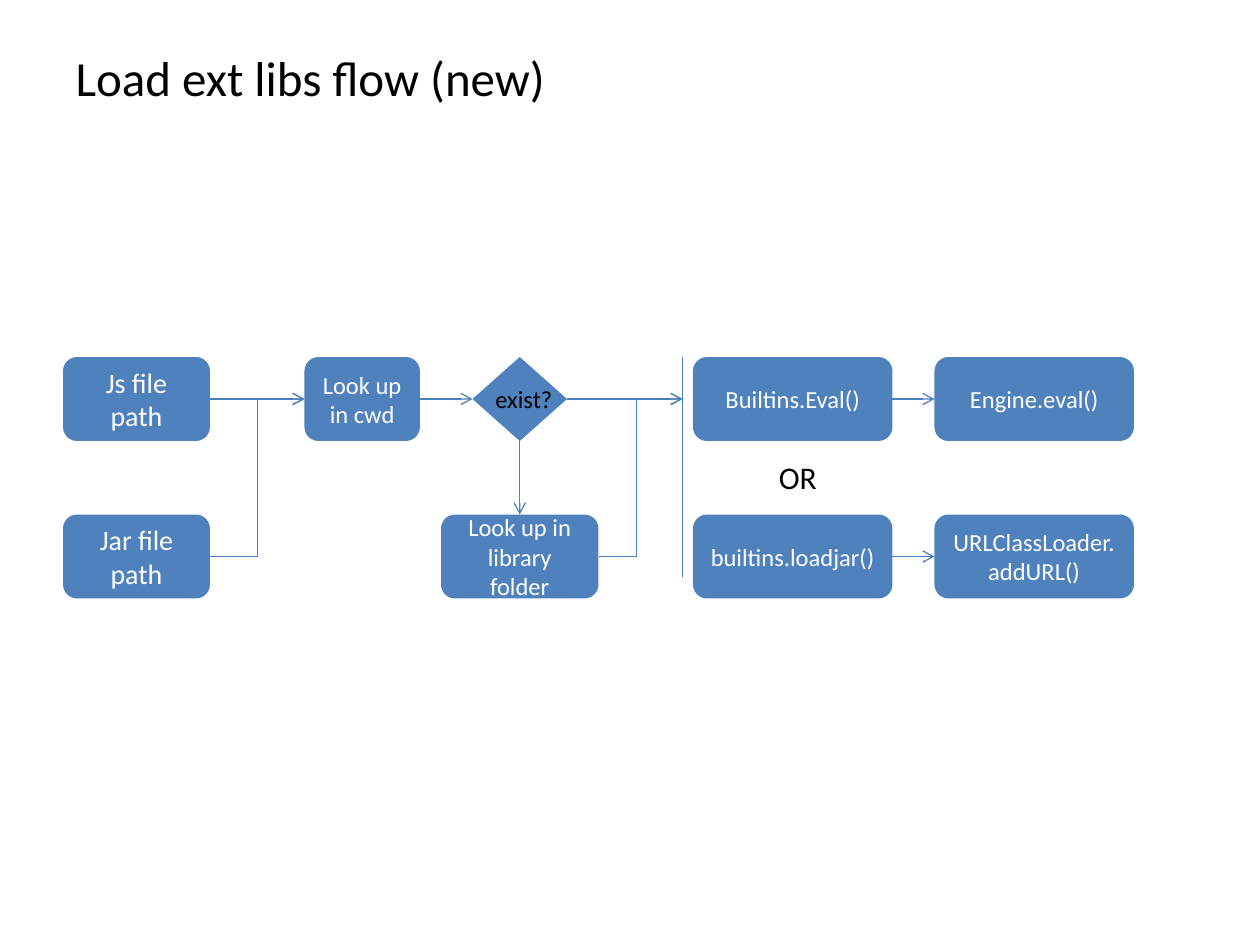
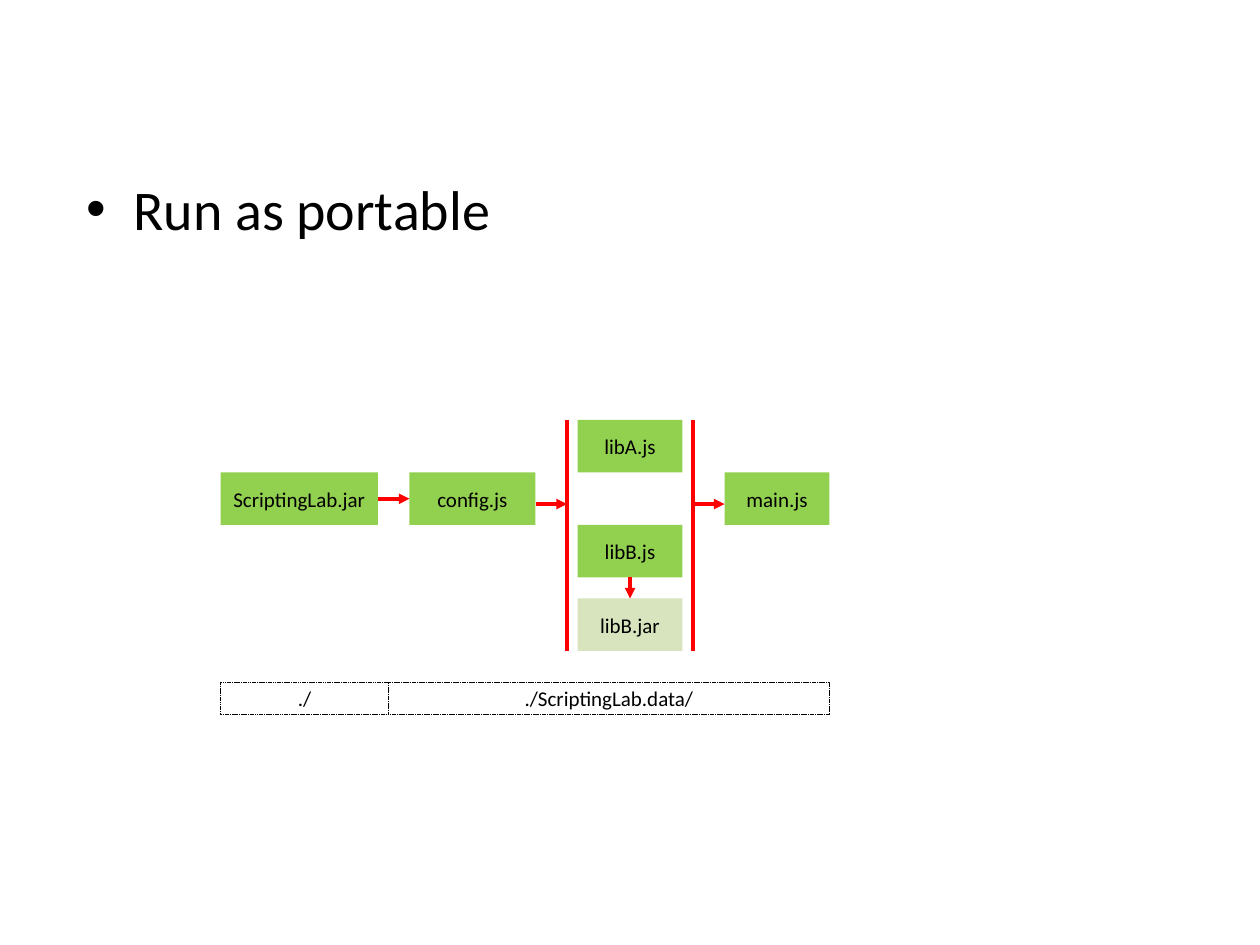
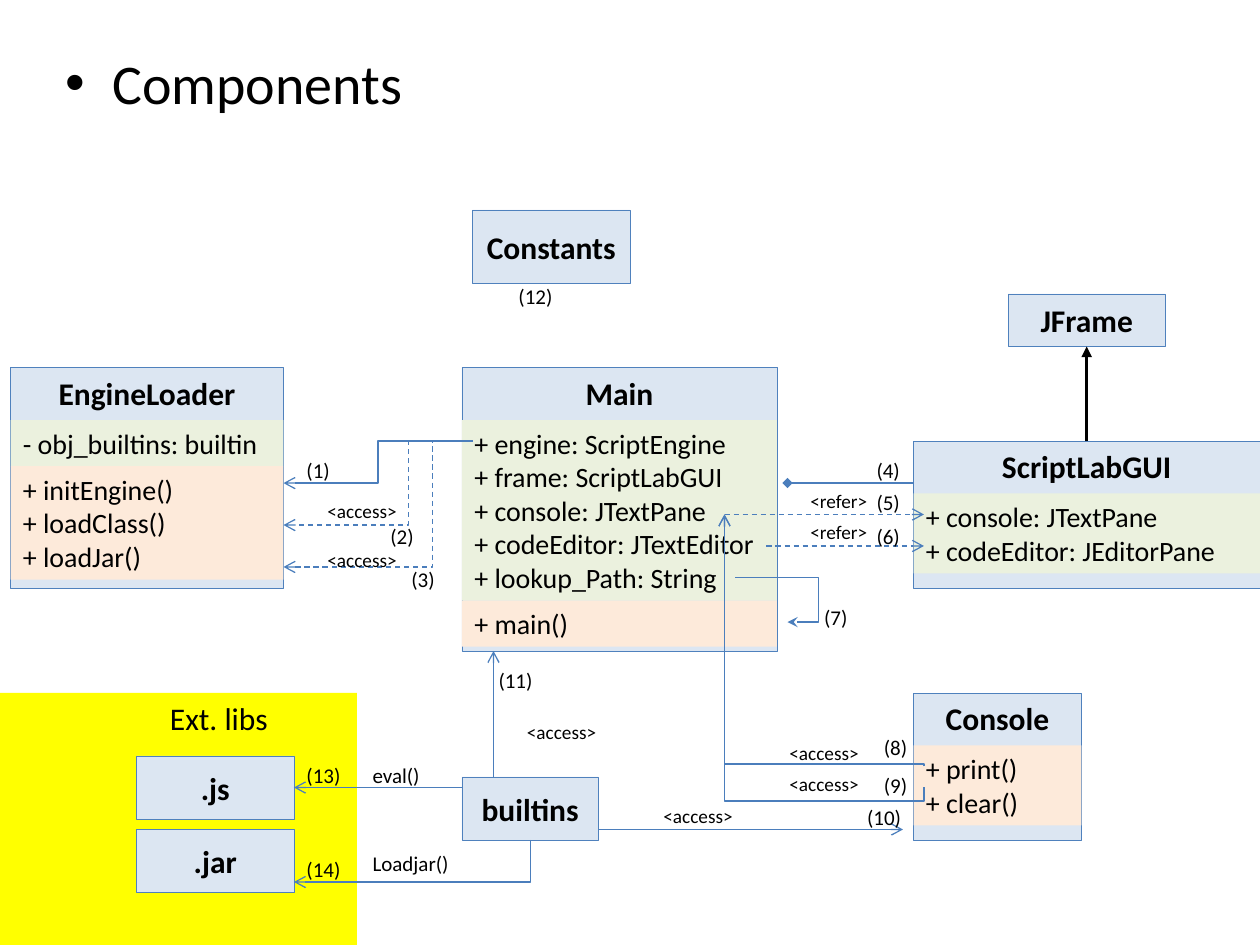
from dataclasses import dataclass

from lxml.etree import SubElement
from pptx import Presentation
from pptx.dml.color import RGBColor
from pptx.enum.dml import MSO_LINE as DASH
from pptx.enum.shapes import MSO_CONNECTOR as CXN, MSO_SHAPE as SHP
from pptx.enum.text import MSO_ANCHOR as ANCHOR, MSO_AUTO_SIZE as FIT, PP_ALIGN as ALIGN
from pptx.oxml.ns import qn
from pptx.util import Inches, Pt


@dataclass(frozen=True)
class Theme:
    """Colours, font and type sizes of the deck."""
    font: str = "Calibri"
    black: str = "000000"
    white: str = "FFFFFF"
    blue: str = "4F81BD"
    wire: str = "4B7EBC"
    header: str = "DCE6F2"
    fields: str = "EBF1DE"
    methods: str = "FDEADA"
    green: str = "92D050"
    pale: str = "D7E4BD"
    red: str = "FF0000"
    yellow: str = "FFFF00"
    title: int = 28
    bullet: int = 32
    head: int = 18
    member: int = 16
    step: int = 14
    small: int = 12
    tiny: int = 11
    thin: float = 0.25
    normal: float = 0.75
    thick: float = 2


T = Theme()
GRID = Inches(1) // 12
TOP, LEFT, BOTTOM, RIGHT = range(4)

FLOW_STEPS = {
    "js": ("Js file path", 6, 34, 14, T.member),
    "jar": ("Jar file path", 6, 49, 14, T.member),
    "cwd": ("Look up in cwd", 29, 34, 11, T.step),
    "library": ("Look up in library folder", 42, 49, 15, T.step),
    "eval": ("Builtins.Eval()", 66, 34, 19, T.step),
    "loadjar": ("builtins.loadjar()", 66, 49, 19, T.step),
    "engine": ("Engine.eval()", 89, 34, 19, T.step),
    "loader": ("URLClassLoader.addURL()", 89, 49, 19, T.step),
}
FLOW_ARROWS = [
    (("exist", BOTTOM), ("library", TOP)),
    (("js", RIGHT), ("cwd", LEFT)),
    (("cwd", RIGHT), ("exist", LEFT)),
    (("exist", RIGHT), (65, 38)),
    (("eval", RIGHT), ("engine", LEFT)),
    (("loadjar", RIGHT), ("loader", LEFT)),
]
FLOW_ELBOWS = [((57, 53), (65, 38), 0.45), ((20, 53), (29, 38), 0.5)]

RUN_FILES = {
    "app": ("ScriptingLab.jar", 21, 45, 15, T.green),
    "config": ("config.js", 39, 45, 12, T.green),
    "libA": ("libA.js", 55, 40, 10, T.green),
    "libB": ("libB.js", 55, 50, 10, T.green),
    "main": ("main.js", 69, 45, 10, T.green),
    "libBjar": ("libB.jar", 55, 57, 10, T.pale),
}
RUN_ARROWS = [
    (("app", RIGHT), ("config", LEFT)),
    (("libB", BOTTOM), ("libBjar", TOP)),
    ((51, 48), (54, 48)),
    ((66, 48), (69, 48)),
]
RUN_FOLDERS = [("./", 21, 16), ("./ScriptingLab.data/", 37, 42)]

BLOCKS = {
    "constants": ("Constants", 45, 20, 15, 7),
    "jframe": ("JFrame", 96, 28, 15, 5),
    "builtins": ("builtins", 44, 74, 13, 6),
    "js": (".js", 13, 72, 15, 6),
    "jar": (".jar", 13, 79, 15, 6),
}
CLASSES = {
    "main": ("Main", 44, 35, 30, 27, [
        (T.fields, ["+ engine: ScriptEngine", "+ frame: ScriptLabGUI", "+ console: JTextPane",
                    "+ codeEditor: JTextEditor", "+ lookup_Path: String"]),
        (T.methods, ["+ main()"])]),
    "loader": ("EngineLoader", 1, 35, 26, 21, [
        (T.fields, ["- obj_builtins: builtin"]),
        (T.methods, ["+ initEngine()", "+ loadClass()", "+ loadJar()"])]),
    "gui": ("ScriptLabGUI", 87, 42, 33, 14, [
        (T.fields, ["+ console: JTextPane", "+ codeEditor: JEditorPane"])]),
    "console": ("Console", 87, 66, 16, 14, [
        (T.methods, ["+ print()", "+ clear()"])]),
}
CLASS_LINES = [
    ((87, 46), (75, 46), dict(tail="diamond")),
    ((69, 49), (88, 49), dict(tail="arrow", dash=DASH.DASH)),
    ((73, 52), (88, 52), dict(tail="arrow", dash=DASH.DASH)),
    (("gui", TOP), ("jframe", BOTTOM), dict(tail="triangle", color=T.black, width=T.thick)),
    ((47, 74), (47, 62), dict(tail="arrow")),
    ((57, 79), (86, 79), dict(tail="arrow")),
    ((44, 75), ("js", RIGHT), dict(tail="arrow")),
]
CLASS_ELBOWS = [
    ((75, 59.25), (70, 55), -0.6, 0, dict(head="stealth")),
    ((45, 42), (27, 46), 0.5, 2, dict(tail="arrow")),
    ((45, 42), (27, 50), 0.34, 2, dict(tail="arrow", dash=DASH.DASH)),
    ((45, 42), (27, 54), 0.21, 2, dict(tail="arrow", dash=DASH.DASH)),
    ((88, 73), (69, 49), 0.01, 3, dict(tail="arrow")),
    ((88, 75), (69, 49), -0.05, 3, dict(tail="arrow")),
    ((50.5, 80), (28, 84), None, 1, dict(tail="arrow")),
]
RELATIONS = {
    "<access>": [(49, 68), (62, 76), (74, 73), (74, 70), (30, 47), (30, 51.6)],
    "<refer>": [(76, 49), (76, 46)],
}
CALLS = [("eval()", 34.3, 72), ("Loadjar()", 34.3, 80.4)]
NUMBERS = [(28, 43), (36, 49.3), (38, 53.4), (82.3, 43), (82.3, 46), (82.3, 49.3), (77.3, 57),
           (83, 69.4), (83, 73), (81.4, 76), (46.3, 63), (48.2, 26.4), (28, 72), (28, 81)]
LABEL_WIDTHS = {"<access>": 0.76, "<refer>": 0.67, "exist?": 0.66, "OR": 0.51,
                "eval()": 0.58, "Loadjar()": 0.81, "Ext. libs": 0.99}


def g(*cells):
    """Turn grid units into slide lengths."""
    return [round(c * GRID) for c in cells]


def rgb(color):
    """Turn a hex string into a colour."""
    return RGBColor.from_string(color)


def write(tf, lines, size, color=T.black, bold=False, align=ALIGN.LEFT):
    """Fill a text frame with one paragraph per line."""
    for i, line in enumerate(lines):
        p = tf.paragraphs[0] if i == 0 else tf.add_paragraph()
        p.text, p.alignment = line, align
        p.font.name, p.font.size, p.font.bold = T.font, Pt(size), bold
        p.font.color.rgb = rgb(color)


def place(sp, x, y, w, h):
    """Move a placeholder to a grid cell."""
    sp.left, sp.top, sp.width, sp.height = g(x, y, w, h)


def bullet_slide(prs, text, x, y):
    """Add a slide that holds a single bullet and no title."""
    s = prs.slides.add_slide(prs.slide_layouts[1])
    title = s.shapes.title.element
    title.getparent().remove(title)
    body = s.placeholders[1]
    place(body, x, y, 108, 7)
    body.text_frame.auto_size = FIT.NONE
    write(body.text_frame, [text], T.bullet)
    return s


def box(shapes, cell, fill=None, lines=(), size=T.small, color=T.black, kind=SHP.RECTANGLE,
        line=None, dash=None, bold=False, align=ALIGN.CENTER, anchor=ANCHOR.MIDDLE):
    """Add a preset shape with optional text."""
    sp = shapes.add_shape(kind, *g(*cell))
    sp.shadow.inherit = False
    if fill:
        sp.fill.solid()
        sp.fill.fore_color.rgb = rgb(fill)
    else:
        sp.fill.background()
    if line:
        sp.line.color.rgb, sp.line.width = rgb(line), Pt(T.thin)
        sp.line.dash_style = dash
    else:
        sp.line.fill.background()
    sp.text_frame.vertical_anchor = anchor
    write(sp.text_frame, lines, size, color, bold, align)
    return sp


def label(s, text, x, y, size):
    """Add a one-line unwrapped text box."""
    width = LABEL_WIDTHS.get(text, 0.12 + 0.09 * len(text))
    sp = s.shapes.add_textbox(*g(x, y), Inches(width), Inches(0.1) + Pt(size * 1.2))
    sp.text_frame.word_wrap = False
    sp.text_frame.auto_size = FIT.SHAPE_TO_FIT_TEXT
    write(sp.text_frame, [text], size)


def style_line(c, color=T.wire, width=T.normal, dash=None, head=None, tail=None):
    """Give a connector its stroke and arrowheads, without shadow."""
    c.line.color.rgb, c.line.width = rgb(color), Pt(width)
    c.line.dash_style = dash
    ln = c.line._get_or_add_ln()
    for tag, end in (("a:headEnd", head), ("a:tailEnd", tail)):
        if end:
            SubElement(ln, qn(tag), type=end)
    SubElement(c._element.spPr, qn("a:effectLst"))


def wire(s, start, end, nodes, **style):
    """Draw a straight line between points or (node name, side) pairs."""
    c = s.shapes.add_connector(CXN.STRAIGHT, 0, 0, 0, 0)
    points = [end if isinstance(end[0], str) else g(*end) for end in (start, end)]
    if isinstance(start[0], str):
        c.begin_connect(nodes[start[0]], start[1])
    else:
        c.begin_x, c.begin_y = points[0]
    if isinstance(end[0], str):
        c.end_connect(nodes[end[0]], end[1])
    else:
        c.end_x, c.end_y = points[1]
    style_line(c, **style)


def elbow(s, start, end, bend, quarter=0, **style):
    """Draw a bent line, rotated by quarter turns; no bend means one corner."""
    (x1, y1), (x2, y2) = start, end
    dx, dy = x2 - x1, y2 - y1
    w, h = [(dx, dy), (dy, -dx), (-dx, -dy), (-dy, dx)][quarter]
    cx, cy = (x1 + x2) / 2, (y1 + y2) / 2
    c = s.shapes.add_connector(CXN.ELBOW, *g(cx - w / 2, cy - h / 2, cx + w / 2, cy + h / 2))
    spPr = c._element.spPr
    if quarter:
        spPr.find(qn("a:xfrm")).set("rot", str(quarter * 5400000))
    geom = spPr.find(qn("a:prstGeom"))
    if bend is None:
        geom.set("prst", "bentConnector2")
    else:
        guides = geom.find(qn("a:avLst"))
        if guides is None:
            guides = SubElement(geom, qn("a:avLst"))
        SubElement(guides, qn("a:gd"), name="adj1", fmla=f"val {round(bend * 100000)}")
    style_line(c, **style)


def class_box(s, name, x, y, w, h, parts):
    """Draw a class with its members stacked under the name."""
    shapes = s.shapes.add_group_shape().shapes
    frame = box(shapes, (x, y, w, h), T.header, [name], T.head, line=T.blue, bold=True,
                anchor=ANCHOR.TOP)
    top = y + 5
    for fill, members in parts:
        height = 1.2 + 3.2 * len(members)
        box(shapes, (x, top, w, height), fill, members, T.member, align=ALIGN.LEFT,
            anchor=ANCHOR.TOP)
        top += height
    return frame


def flow_slide(prs):
    """Build the library loading flow."""
    s = prs.slides.add_slide(prs.slide_layouts[5])
    title = s.shapes.title
    place(title, 6, 3.6, 108, 7.4)
    title.text_frame.auto_size = FIT.NONE
    write(title.text_frame, ["Load ext libs flow (new)"], T.title)
    nodes = {key: box(s.shapes, (x, y, w, 8), T.blue, [text], size, T.white,
                      SHP.ROUNDED_RECTANGLE)
             for key, (text, x, y, w, size) in FLOW_STEPS.items()}
    nodes["exist"] = box(s.shapes, (45, 34, 9, 8), T.blue, kind=SHP.DIAMOND)
    label(s, "exist?", 46, 36, T.step)
    for start, end in FLOW_ARROWS:
        wire(s, start, end, nodes, tail="arrow")
    for start, end, bend in FLOW_ELBOWS:
        elbow(s, start, end, bend, tail="arrow")
    wire(s, (65, 34), (65, 55), nodes)
    label(s, "OR", 73, 43, T.head)


def portable_slide(prs):
    """Build the portable run sequence."""
    s = bullet_slide(prs, "Run as portable", 7, 16)
    nodes = {key: box(s.shapes, (x, y, w, 5), fill, [text])
             for key, (text, x, y, w, fill) in RUN_FILES.items()}
    stroke = dict(color=T.red, width=T.thick)
    for start, end in RUN_ARROWS:
        wire(s, start, end, nodes, tail="triangle", **stroke)
    for x in (54, 66):
        wire(s, (x, 62), (x, 40), nodes, **stroke)
    for text, x, w in RUN_FOLDERS:
        box(s.shapes, (x, 65, w, 3), lines=[text], line=T.black, dash=DASH.SQUARE_DOT)


def components_slide(prs):
    """Build the class diagram."""
    s = bullet_slide(prs, "Components", 5, 4)
    box(s.shapes, (0, 66, 34, 24), T.yellow)
    nodes = {key: box(s.shapes, cell, T.header, [text], T.head, line=T.blue, bold=True)
             for key, (text, *cell) in BLOCKS.items()}
    nodes.update({key: class_box(s, *data) for key, data in CLASSES.items()})
    for start, end, style in CLASS_LINES:
        wire(s, start, end, nodes, **style)
    for start, end, bend, quarter, style in CLASS_ELBOWS:
        elbow(s, start, end, bend, quarter, **style)
    for text, spots in RELATIONS.items():
        for x, y in spots:
            label(s, text, x, y, T.tiny)
    for text, x, y in CALLS:
        label(s, text, x, y, T.small)
    for n, (x, y) in enumerate(NUMBERS, 1):
        label(s, f"({n})", x, y, T.small)
    label(s, "Ext. libs", 15, 66, T.head)


def main():
    """Build and save the deck."""
    prs = Presentation()
    prs.slide_width, prs.slide_height = g(120, 90)
    flow_slide(prs)
    portable_slide(prs)
    components_slide(prs)
    prs.save("out.pptx")


if __name__ == "__main__":
    main()
